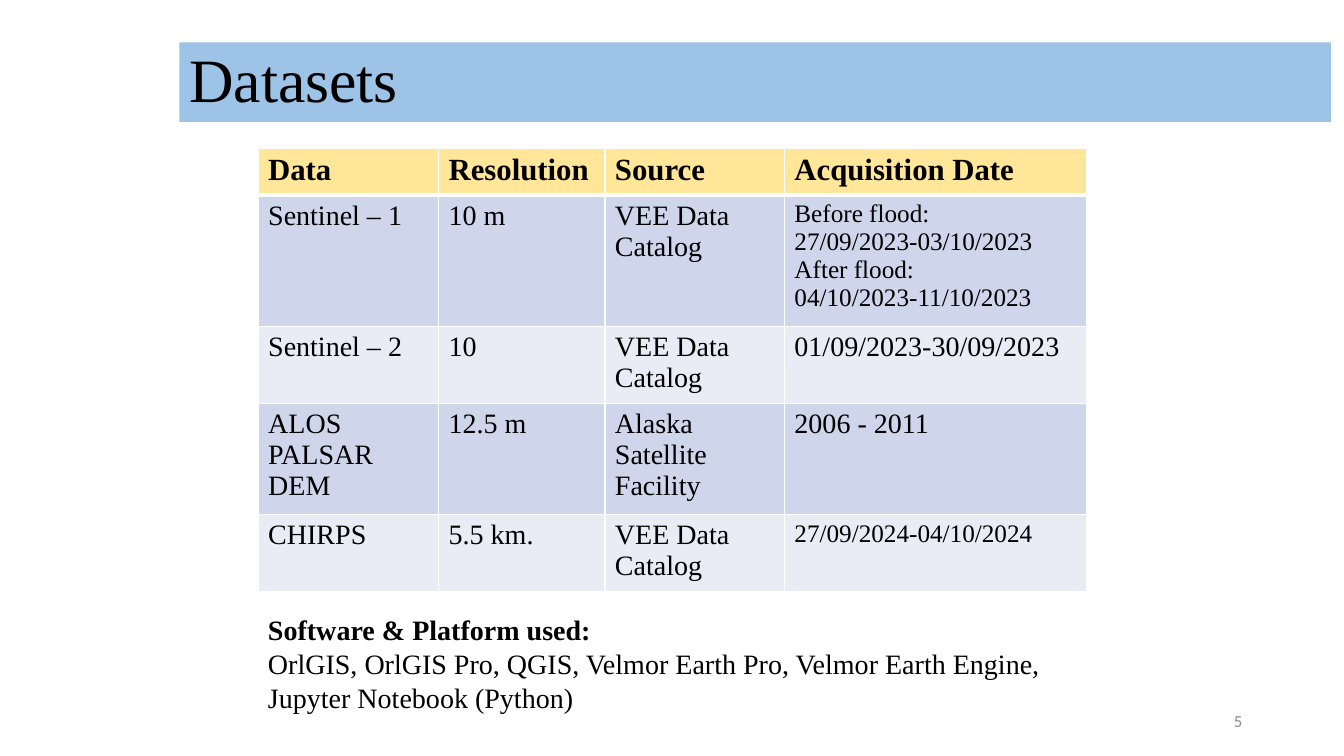
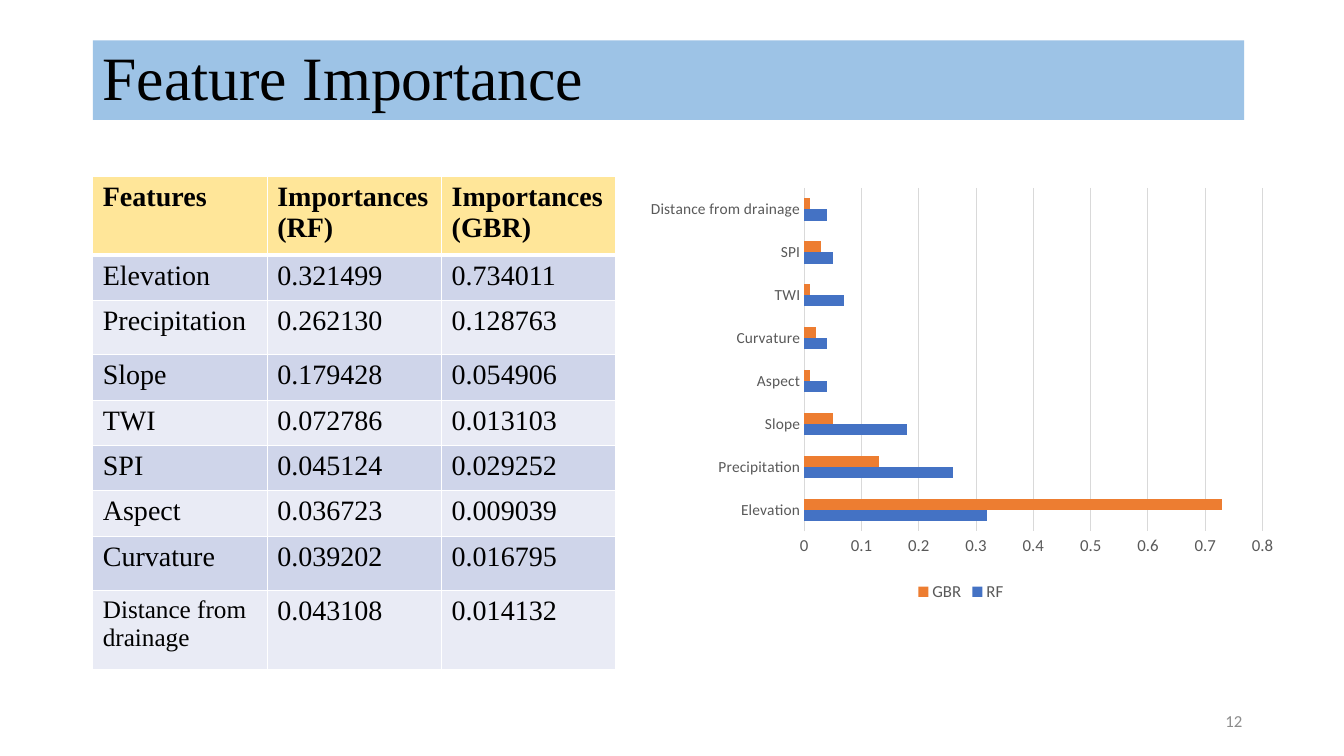
from lxml import etree
from pptx import Presentation
from pptx.chart import data as cd
from pptx.dml.color import RGBColor
from pptx.enum import chart as ch, shapes, text
from pptx.oxml import ns
from pptx.util import Inches, Pt


class Theme:
    serif, sans = "Times New Roman", "Calibri"
    black, white, gray = "000000", "FFFFFF", "8C8C8C"
    label, grid = "595959", "D9D9D9"
    band, head = "9DC3E6", "FFE699"
    rows = ("CFD5EA", "E9EBF5")
    bars = ("4472C4", "ED7D31")
    title, large, body, small, note, tick = 44, 22, 20, 18, 12, 11
    thin, thick = 1, 3


# Content
DATA = [
    ("Data", "Resolution", "Source", "Acquisition Date"),
    ("Sentinel – 1", "10 m", "VEE Data Catalog",
     "Before flood:\n27/09/2023-03/10/2023\nAfter flood:\n04/10/2023-11/10/2023"),
    ("Sentinel – 2", "10", "VEE Data Catalog", "01/09/2023-30/09/2023"),
    ("ALOS PALSAR\nDEM", "12.5 m", "Alaska Satellite Facility", "2006 - 2011"),
    ("CHIRPS", "5.5 km.", "VEE Data Catalog", "27/09/2024-04/10/2024"),
]
TOOLS = ("Software & Platform used:",
         "OrlGIS, OrlGIS Pro, QGIS, Velmor Earth Pro, Velmor Earth Engine, "
         "Jupyter Notebook (Python)")
SCORES = [
    ("Features", "Importances (RF)", "Importances (GBR)"),
    ("Elevation", "0.321499", "0.734011"),
    ("Precipitation", "0.262130", "0.128763"),
    ("Slope", "0.179428", "0.054906"),
    ("TWI", "0.072786", "0.013103"),
    ("SPI", "0.045124", "0.029252"),
    ("Aspect", "0.036723", "0.009039"),
    ("Curvature", "0.039202", "0.016795"),
    ("Distance from drainage", "0.043108", "0.014132"),
]
ORDER = ("Elevation", "Precipitation", "Slope", "Aspect", "Curvature",
         "TWI", "SPI", "Distance from drainage")
MODELS = ("RF", "GBR")


# Helpers
def rgb(code):
    return RGBColor.from_string(code)


def style(font, size, color, face=Theme.serif, bold=False):
    font.size, font.name, font.bold = Pt(size), face, bold
    font.color.rgb = rgb(color)


def box(*lengths):
    return [Inches(n) for n in lengths]


def add_page(deck, title, left, top, number):
    page = deck.slides.add_slide(deck.slide_layouts[6])
    band = page.shapes.add_shape(shapes.MSO_SHAPE.RECTANGLE,
                                 *box(left, top, 11.42, 0.79))
    band.shadow.inherit = False
    band.fill.solid()
    band.fill.fore_color.rgb = rgb(Theme.band)
    band.line.fill.background()
    frame = band.text_frame
    frame.text = title
    frame.vertical_anchor = text.MSO_ANCHOR.MIDDLE
    para = frame.paragraphs[0]
    para.alignment, para.line_spacing = text.PP_ALIGN.LEFT, 0.9
    style(para.runs[0].font, Theme.title, Theme.black)

    foot = page.shapes.add_textbox(*box(9.42, 6.95, 3, 0.4)).text_frame
    foot.word_wrap = True
    foot.vertical_anchor = text.MSO_ANCHOR.MIDDLE
    foot.text = str(number)
    foot.paragraphs[0].alignment = text.PP_ALIGN.RIGHT
    style(foot.paragraphs[0].runs[0].font, Theme.note, Theme.gray, Theme.sans)
    return page


def edge(cell, side, width):
    line = etree.SubElement(cell._tc.get_or_add_tcPr(), ns.qn("a:ln" + side),
                            w=str(Pt(width)))
    fill = etree.SubElement(line, ns.qn("a:solidFill"))
    etree.SubElement(fill, ns.qn("a:srgbClr"), val=Theme.white)


def add_grid(page, area, cols, rows, cells, head, small):
    frame = page.shapes.add_table(len(rows), len(cols), *box(*area))
    grid = frame.table
    for col, width in zip(grid.columns, cols):
        col.width = Inches(width)
    for r, (height, values) in enumerate(zip(rows, cells)):
        grid.rows[r].height = Inches(height)
        for c, value in enumerate(values):
            cell = grid.cell(r, c)
            for side in "LRTB":
                rule = (r, side) == (0, "B")
                edge(cell, side, Theme.thick if rule else Theme.thin)
            cell.fill.solid()
            cell.fill.fore_color.rgb = rgb(
                Theme.rows[(r - 1) % 2] if r else Theme.head)
            cell.text_frame.text = value
            size = Theme.small if (r, c) in small else Theme.body
            for para in cell.text_frame.paragraphs:
                style(para.runs[0].font, size if r else head, Theme.black,
                      bold=r == 0)
    # Row heights reset the frame, so its height is set last
    frame.height = Inches(area[3])


def set_plot(chart, x, y, w, h):
    area = chart._chartSpace.chart.plotArea
    for old in area.findall(ns.qn("c:layout")):
        area.remove(old)
    outer = etree.Element(ns.qn("c:layout"))
    area.insert(0, outer)
    inner = etree.SubElement(outer, ns.qn("c:manualLayout"))
    for tag, val in (("layoutTarget", "inner"), ("xMode", "edge"),
                     ("yMode", "edge"), ("x", x), ("y", y),
                     ("w", w), ("h", h)):
        etree.SubElement(inner, ns.qn("c:" + tag), val=str(val))


def add_bars(page):
    score = {name: [round(float(v), 2) for v in vals]
             for name, *vals in SCORES[1:]}
    data = cd.CategoryChartData()
    data.categories = ORDER
    for i, model in enumerate(MODELS):
        data.add_series(model, [score[name][i] for name in ORDER])
    chart = page.shapes.add_chart(ch.XL_CHART_TYPE.BAR_CLUSTERED,
                                  *box(6.36, 1.75, 6.34, 4.26), data).chart
    style(chart.font, 10, Theme.black, Theme.sans)
    chart.has_title = False
    chart.has_legend = True
    chart.legend.position = ch.XL_LEGEND_POSITION.BOTTOM
    chart.legend.include_in_layout = False
    style(chart.legend.font, Theme.note, Theme.label, Theme.sans)

    plot = chart.plots[0]
    plot.gap_width, plot.vary_by_categories = 182, False
    for bar, color in zip(plot.series, Theme.bars):
        bar.format.fill.solid()
        bar.format.fill.fore_color.rgb = rgb(color)

    cat, val = chart.category_axis, chart.value_axis
    for axis, size in ((cat, Theme.tick), (val, Theme.note)):
        axis.major_tick_mark = axis.minor_tick_mark = ch.XL_TICK_MARK.NONE
        style(axis.tick_labels.font, size, Theme.label, Theme.sans)
    val.has_major_gridlines = True
    for item in (cat, val.major_gridlines):
        item.format.line.color.rgb = rgb(Theme.grid)
        item.format.line.width = Pt(0.75)
    val.format.line.fill.background()
    val.minimum_scale, val.maximum_scale, val.major_unit = 0, 0.8, 0.1
    set_plot(chart, 0.255, 0.027, 0.717, 0.8)


# Slides
def add_data(deck):
    page = add_page(deck, "Datasets", 1.78, 0.42, 5)
    add_grid(page, (2.56, 1.47, 8.22, 4.4), (1.79, 1.65, 1.78, 3),
             (0.35, 1.21, 0.35, 0.87, 0.56), DATA, Theme.large,
             {(1, 3), (4, 3)})
    frame = page.shapes.add_textbox(*box(2.56, 6.03, 8.06, 1.11)).text_frame
    frame.word_wrap = True
    frame.auto_size = text.MSO_AUTO_SIZE.SHAPE_TO_FIT_TEXT
    frame.text = "\n".join(TOOLS)
    for i, para in enumerate(frame.paragraphs):
        style(para.runs[0].font, Theme.body, Theme.black, bold=i == 0)


def add_scores(deck):
    page = add_page(deck, "Feature Importance", 0.92, 0.4, 12)
    add_grid(page, (0.92, 1.75, 5.19, 4.91), [1.73] * 3,
             (0.78, 0.45, 0.54, 0.45, 0.45, 0.45, 0.45, 0.54, 0.78),
             SCORES, Theme.body, {(8, 0)})
    add_bars(page)


def main():
    deck = Presentation()
    deck.slide_width, deck.slide_height = box(13.33, 7.5)
    add_data(deck)
    add_scores(deck)
    deck.save("out.pptx")


if __name__ == "__main__":
    main()
